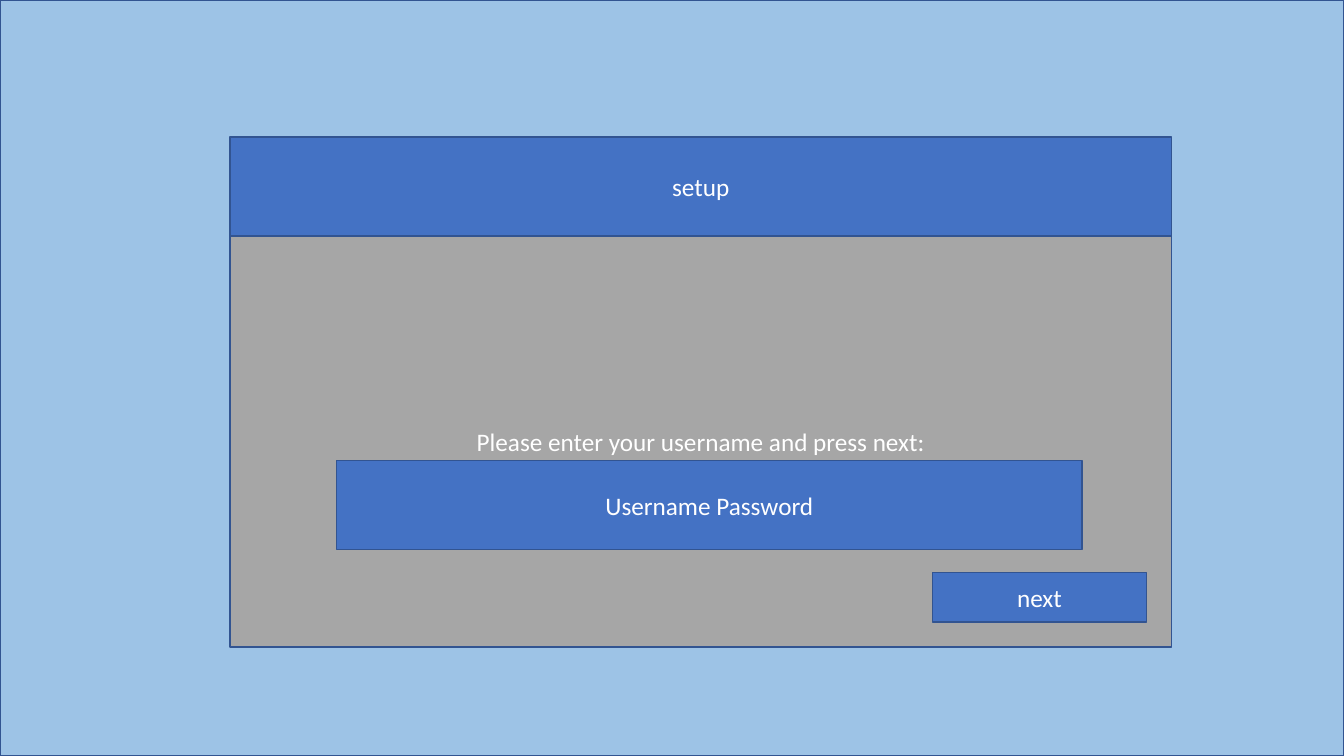
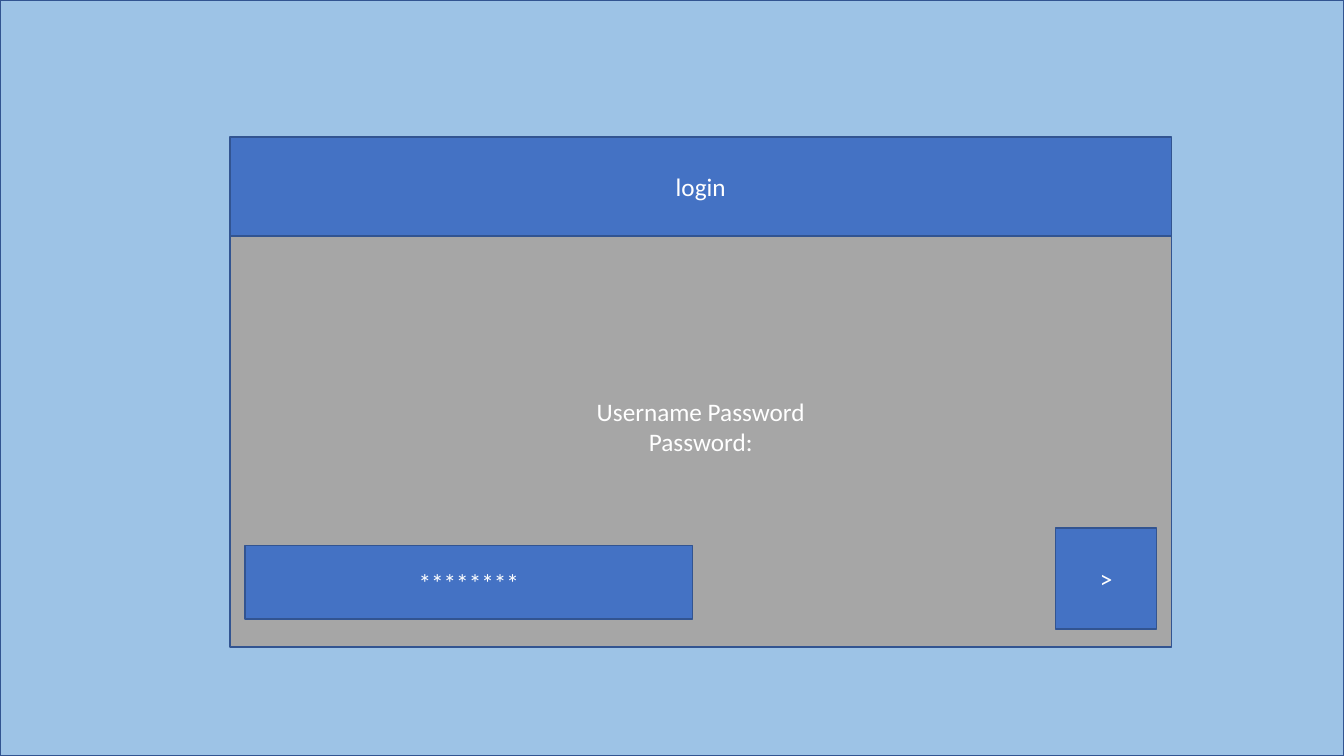
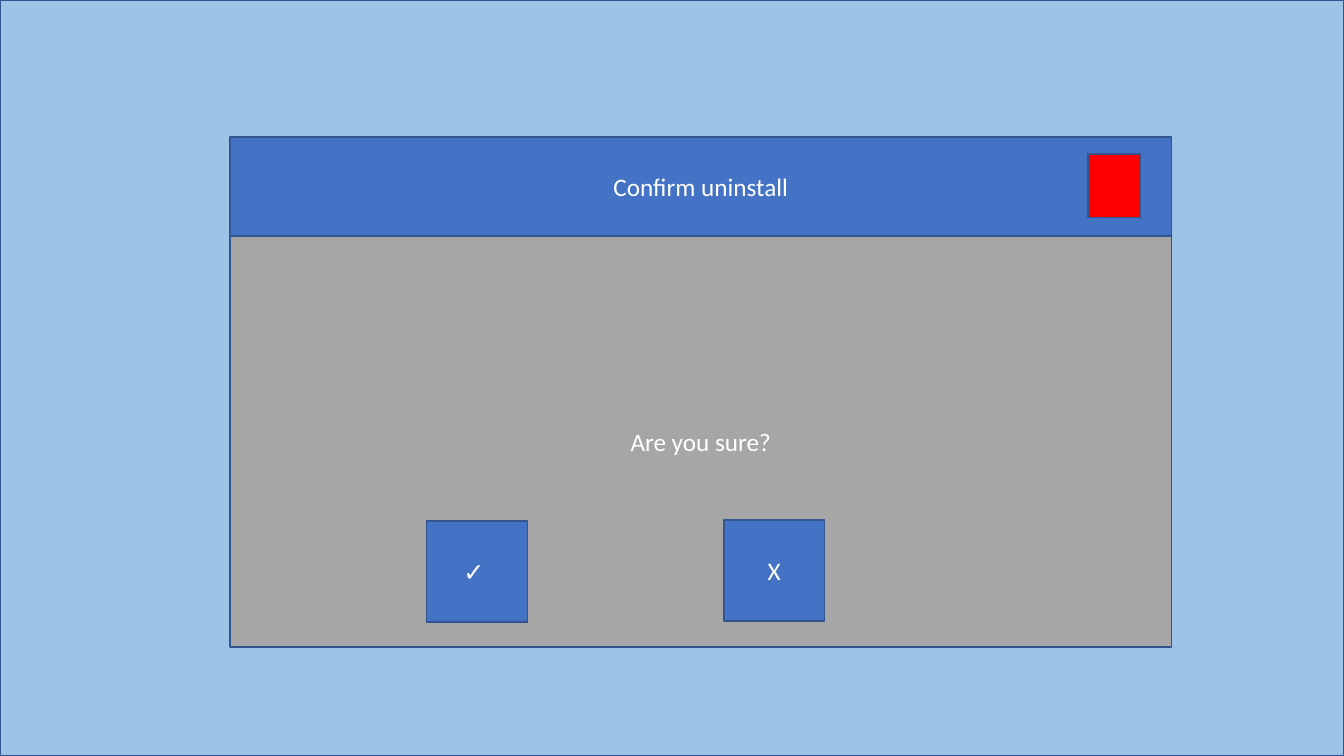
from pptx import Presentation
from pptx.dml.color import RGBColor
from pptx.enum.shapes import MSO_SHAPE
from pptx.enum.text import MSO_ANCHOR, MSO_AUTO_SIZE, PP_ALIGN
from pptx.util import Inches, Pt

RECT = MSO_SHAPE.RECTANGLE
MIDDLE = MSO_ANCHOR.MIDDLE
CENTER = PP_ALIGN.CENTER
NO_FIT = MSO_AUTO_SIZE.NONE

SKY, BLUE, GREY = "9DC3E6", "4472C4", "A6A6A6"
EDGE, RED, WHITE = "325491", "FF0000", "FFFFFF"
FONT, SIZE = "Calibri", 18
WIDE, HIGH = 13.33, 7.5
DIALOG = (2.28, 1.36, 9.34, 5.06)
BAR = 0.98
KEY = 1
TITLE_ONLY = 5


def color(code):
    return RGBColor.from_string(code)


def style(shape, fill, text=""):
    """Give a shape its fill, edge and centred white text."""
    shape.fill.solid()
    shape.fill.fore_color.rgb = color(fill)
    shape.line.color.rgb = color(EDGE)
    shape.line.width = Pt(1)
    if not text:
        return
    frame = shape.text_frame
    frame.text = text
    frame.word_wrap = True
    frame.auto_size = NO_FIT
    frame.vertical_anchor = MIDDLE
    for para in frame.paragraphs:
        para.alignment = CENTER
        for run in para.runs:
            run.font.name = FONT
            run.font.size = Pt(SIZE)
            run.font.color.rgb = color(WHITE)


def add_box(slide, box, fill, text=""):
    shape = slide.shapes.add_shape(RECT, *map(Inches, box))
    shape.shadow.inherit = False
    style(shape, fill, text)
    return shape


def add_part(slide, box, text="", fill=BLUE):
    """Add a box placed from the dialog's top left corner."""
    left, top, width, height = box
    place = (DIALOG[0] + left, DIALOG[1] + top, width, height)
    return add_box(slide, place, fill, text)


def add_dialog(deck, title, prompt, lift=0):
    """Add a slide with backdrop, panel and title bar; lift raises the prompt."""
    slide = deck.slides.add_slide(deck.slide_layouts[TITLE_ONLY])
    left, top, width, height = DIALOG
    add_box(slide, (0, 0, WIDE, HIGH), SKY)
    panel = add_part(slide, (0, BAR, width, height - BAR), prompt, GREY)
    panel.text_frame.margin_bottom = Inches(0.05 + lift)

    bar = slide.shapes.title
    bar.left, bar.top = Inches(left), Inches(top)
    bar.width, bar.height = Inches(width), Inches(BAR)
    style(bar, BLUE, title)
    panel.element.addnext(bar.element)
    return slide


def add_setup(deck):
    slide = add_dialog(deck, "setup", "Please enter your username and press next:")
    add_part(slide, (1.06, 3.21, 7.39, 0.88), "Username Password")
    add_part(slide, (6.97, 4.32, 2.12, 0.49), "next")


def add_login(deck):
    slide = add_dialog(deck, "login", "Username Password\nPassword:", lift=0.3)
    add_part(slide, (0.15, 4.05, 4.44, 0.73), "********")
    add_part(slide, (8.19, 3.88, KEY, KEY), ">")


def add_confirm(deck):
    slide = add_dialog(deck, "Confirm uninstall", "Are you sure?")
    add_part(slide, (8.51, 0.17, 0.52, 0.63), fill=RED)
    add_part(slide, (1.95, 3.81, KEY, KEY), "✓ ")
    add_part(slide, (4.9, 3.8, KEY, KEY), "X")


def main():
    deck = Presentation()
    deck.slide_width, deck.slide_height = Inches(WIDE), Inches(HIGH)
    for add in (add_setup, add_login, add_confirm):
        add(deck)
    deck.save("out.pptx")


if __name__ == "__main__":
    main()
